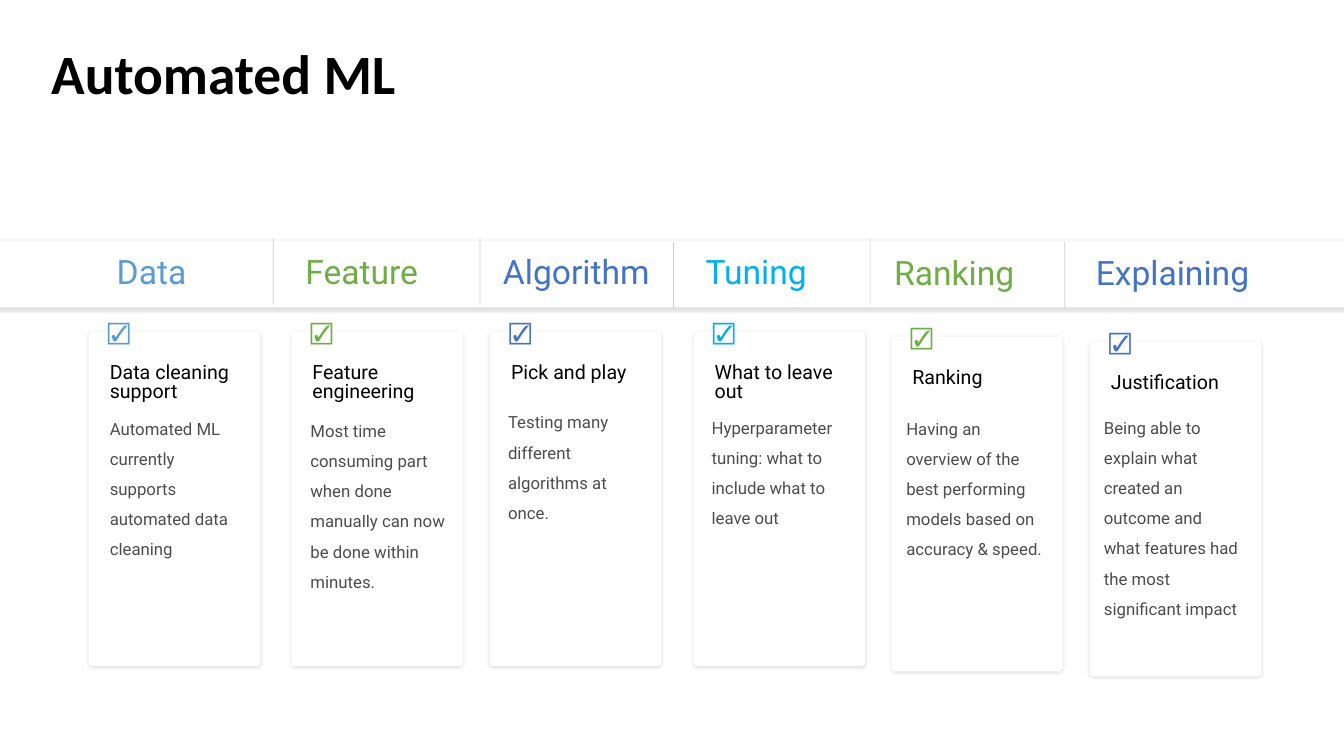
from pptx import Presentation, util as u
from pptx.dml.color import RGBColor
from pptx.enum import shapes, text
from pptx.oxml import parse_xml
from pptx.oxml.ns import nsdecls, qn

COLORS = {"black": "000000", "white": "FFFFFF", "sky": "5B9BD5",
          "green": "70AD47", "blue": "4472C4", "cyan": "00B0F0"}

TITLE = "Automated ML"
# step, colour, (step left, top), card heading, (card left, top), body, (body left, top, width, height)
STEPS = [
    ("Data", "sky", (1.06, 2.52), "Data cleaning support", (0.88, 3.21),
     "Automated ML currently supports automated data cleaning",
     (0.99, 4.0, 1.41, 1.58)),
    ("Feature", "green", (2.93, 2.52), "Feature engineering", (2.89, 3.21),
     "Most time consuming part when done manually can now be done within minutes.",
     (2.98, 4.02, 1.59, 1.88)),
    ("Algorithm", "blue", (4.89, 2.52), "Pick and play", (4.86, 3.21),
     "Testing many different algorithms at once.",
     (4.94, 3.94, 1.55, 1.28)),
    ("Tuning", "cyan", (6.9, 2.52), "What to leave out", (6.88, 3.21),
     "Hyperparameter tuning: what to include what to leave out",
     (6.96, 3.99, 1.55, 1.28)),
    ("Ranking", "green", (8.77, 2.53), "Ranking", (8.84, 3.26),
     "Having an overview of the best performing models based on accuracy & speed.",
     (8.89, 4.0, 1.55, 1.88)),
    ("Explaining", "blue", (10.77, 2.53), "Justification", (10.81, 3.31),
     "Being able to explain what created an outcome and what features had "
     "the most significant impact",
     (10.85, 3.99, 1.55, 2.18)),
]
DIVIDERS = [(2.71, 2.37), (4.76, 2.37), (6.68, 2.4), (8.63, 2.37), (10.56, 2.4)]
DIVIDER_HEIGHT = 0.65
# Card outline relative to its top left corner, with a small pointer on top
CARD_OUTLINE = [(0, 0.11), (0.02, 0.08), (0.17, 0.08), (0.24, 0), (0.31, 0.08),
                (1.68, 0.08), (1.7, 0.11), (1.7, 3.37), (1.68, 3.4),
                (0.02, 3.4), (0, 3.37)]


def rgb(color):
    return RGBColor.from_string(COLORS[color])


def set_alpha(parent, percent):
    """Make the solid colour found under parent partly transparent."""
    color = parent.find(".//" + qn("a:srgbClr"))
    color.append(parse_xml(f'<a:alpha {nsdecls("a")} val="{percent * 1000}"/>'))


def style_panel(shape):
    """White fill, no outline and a soft shadow below."""
    shape.fill.solid()
    shape.fill.fore_color.rgb = rgb("white")
    shape.line.fill.background()
    shape.shadow.inherit = False
    effects = shape._element.spPr.find(qn("a:effectLst"))
    effects.append(parse_xml(
        f'<a:outerShdw {nsdecls("a")} blurRad="{u.Pt(3)}" dist="{u.Pt(1)}" '
        f'dir="5400000" algn="t" rotWithShape="0"><a:srgbClr val="{COLORS["black"]}">'
        '<a:alpha val="15000"/></a:srgbClr></a:outerShdw>'))


def add_text(parent, bounds, words, size, color="black", font="Roboto", bold=False,
             spacing=None, align=None, anchor=text.MSO_ANCHOR.TOP, alpha=None):
    box = parent.add_textbox(*map(u.Inches, bounds))
    frame = box.text_frame
    frame.word_wrap = True
    frame.vertical_anchor = anchor
    para = frame.paragraphs[0]
    para.alignment = align
    para.line_spacing = spacing
    span = para.add_run()
    span.text = words
    span.font.name = font
    span.font.size = u.Pt(size)
    span.font.bold = bold
    span.font.color.rgb = rgb(color)
    if alpha:
        set_alpha(span._r, alpha)


def add_card(page, left, top, heading, color):
    card = page.shapes.add_group_shape().shapes
    points = [(u.Inches(left + x), u.Inches(top + y)) for x, y in CARD_OUTLINE]
    builder = card.build_freeform(*points[0])
    builder.add_line_segments(points[1:], close=True)
    style_panel(builder.convert_to_shape())
    add_text(card, (left + 0.11, top + 0.36, 1.59, 0.34), heading, 14, spacing=0.8)
    add_text(card, (left + 0.09, top - 0.1, 0.32, 0.37), "☑", 16, color,
             bold=True, align=text.PP_ALIGN.CENTER)


def add_divider(page, x, top):
    line = page.shapes.add_connector(
        shapes.MSO_CONNECTOR.STRAIGHT,
        *map(u.Inches, (x, top, x, top + DIVIDER_HEIGHT)))
    line.line.width = u.Pt(0.5)
    line.line.color.rgb = rgb("black")
    properties = line._element.spPr
    set_alpha(properties, 20)
    properties.append(parse_xml(f'<a:effectLst {nsdecls("a")}/>'))


def main():
    deck = Presentation()
    deck.slide_width, deck.slide_height = u.Inches(13.33), u.Inches(7.5)
    page = deck.slides.add_slide(deck.slide_layouts[6])

    add_text(page.shapes, (0.41, 0.47, 10.61, 0.58), TITLE, 39.6, font="Calibri",
             bold=True, spacing=0.9, anchor=text.MSO_ANCHOR.MIDDLE)
    band = page.shapes.add_shape(shapes.MSO_SHAPE.ROUNDED_RECTANGLE,
                                 *map(u.Inches, (-0.3, 2.39, 13.91, 0.66)))
    band.adjustments[0] = 0.04
    style_panel(band)
    for x, top in DIVIDERS:
        add_divider(page, x, top)
    for step, color, step_at, heading, card_at, body, body_bounds in STEPS:
        add_card(page, *card_at, heading, color)
        add_text(page.shapes, (*step_at, 1.77, 0.42), step, 24, color, spacing=0.8)
        add_text(page.shapes, body_bounds, body, 12, spacing=1.5, alpha=70)

    deck.save("out.pptx")


if __name__ == "__main__":
    main()
